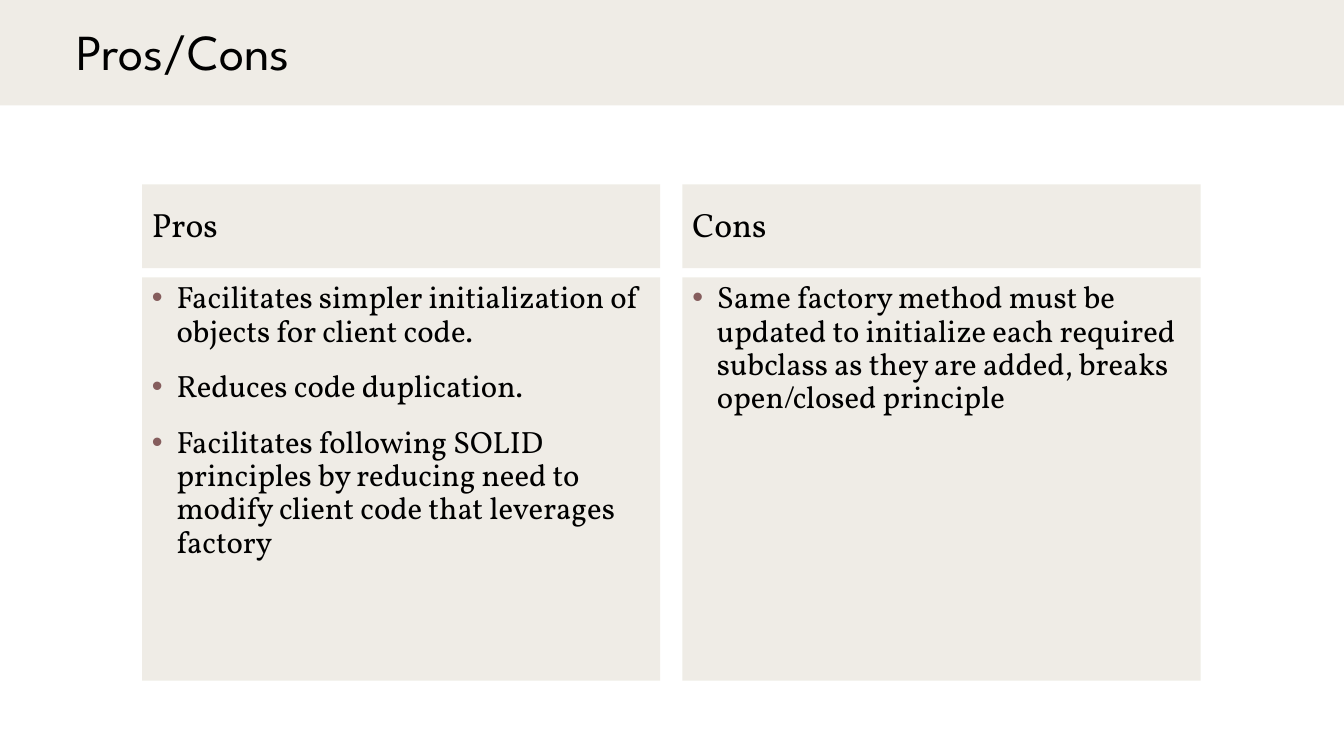
from lxml import etree
from pptx import Presentation
from pptx.dml.color import RGBColor
from pptx.enum.shapes import MSO_SHAPE
from pptx.enum.text import MSO_ANCHOR, PP_ALIGN
from pptx.oxml.ns import qn
from pptx.util import Cm, Pt

RECTANGLE = MSO_SHAPE.RECTANGLE
TOP, MIDDLE = MSO_ANCHOR.TOP, MSO_ANCHOR.MIDDLE
LEFT = PP_ALIGN.LEFT

BLACK = RGBColor(0x00, 0x00, 0x00)
SAND = RGBColor(0xE9, 0xE5, 0xDC)
MAUVE = RGBColor(0x85, 0x5D, 0x5D)

TITLE_FONT = "League Spartan"
BODY_FONT = "Vollkorn"

COLUMN_LEFT, COLUMN_STEP, COLUMN_WIDTH = 3.58, 13.62, 13.06
HEADING_TOP, HEADING_HEIGHT = 4.65, 2.11
LIST_TOP, LIST_HEIGHT = 6.99, 10.16

COLUMNS = [
    ("Pros", [
        "Facilitates simpler initialization of objects for client code.",
        "Reduces code duplication.",
        "Facilitates following SOLID principles by reducing need to "
        "modify client code that leverages factory",
    ]),
    ("Cons", [
        "Same factory method must be updated to initialize each required "
        "subclass as they are added, breaks open/closed principle",
    ]),
]


def add_panel(page, left, top, width, height):
    """Add a borderless sand rectangle at 70 % opacity."""
    panel = page.shapes.add_shape(
        RECTANGLE, Cm(left), Cm(top), Cm(width), Cm(height))
    panel.shadow.inherit = False
    panel.line.fill.background()
    panel.fill.solid()
    panel.fill.fore_color.rgb = SAND
    color = panel._element.spPr.find(qn("a:solidFill")).find(qn("a:srgbClr"))
    etree.SubElement(color, qn("a:alpha"), val="70000")
    return panel


def write(box, lines, font, size, anchor):
    """Fill a box with left-aligned paragraphs in one style."""
    frame = box.text_frame
    frame.word_wrap = True
    frame.vertical_anchor = anchor
    frame.text = "\n".join(lines)
    for para in frame.paragraphs:
        para.alignment = LEFT
        para.line_spacing = 0.9
        for span in para.runs:
            span.font.name = font
            span.font.size = Pt(size)
            span.font.color.rgb = BLACK


def add_bullet(para):
    """Give a paragraph a mauve bullet with a hanging indent."""
    para.space_before = Pt(16)
    properties = para._p.get_or_add_pPr()
    properties.set("marL", str(Cm(0.62)))
    properties.set("indent", str(-Cm(0.62)))
    color = etree.SubElement(properties, qn("a:buClr"))
    etree.SubElement(color, qn("a:srgbClr"), val=str(MAUVE))
    etree.SubElement(properties, qn("a:buFont"), typeface="Arial")
    etree.SubElement(properties, qn("a:buChar"), char="•")


def add_title(page, title):
    add_panel(page, 0, -0.08, 33.87, 2.74)
    box = page.shapes.add_textbox(Cm(1.68), Cm(0), Cm(32.16), Cm(2.74))
    write(box, [title], TITLE_FONT, 36, MIDDLE)


def add_column(page, left, heading, points):
    heading_box = add_panel(
        page, left, HEADING_TOP, COLUMN_WIDTH, HEADING_HEIGHT)
    write(heading_box, [heading], BODY_FONT, 24, MIDDLE)

    list_box = add_panel(page, left, LIST_TOP, COLUMN_WIDTH, LIST_HEIGHT)
    write(list_box, points, BODY_FONT, 22, TOP)
    for para in list_box.text_frame.paragraphs:
        add_bullet(para)


def main():
    deck = Presentation()
    deck.slide_width, deck.slide_height = Cm(33.87), Cm(19.05)
    page = deck.slides.add_slide(deck.slide_layouts[6])

    # Title band
    add_title(page, "Pros/Cons")

    # Comparison columns
    for index, (heading, points) in enumerate(COLUMNS):
        add_column(page, COLUMN_LEFT + index * COLUMN_STEP, heading, points)

    deck.save("out.pptx")


if __name__ == "__main__":
    main()
